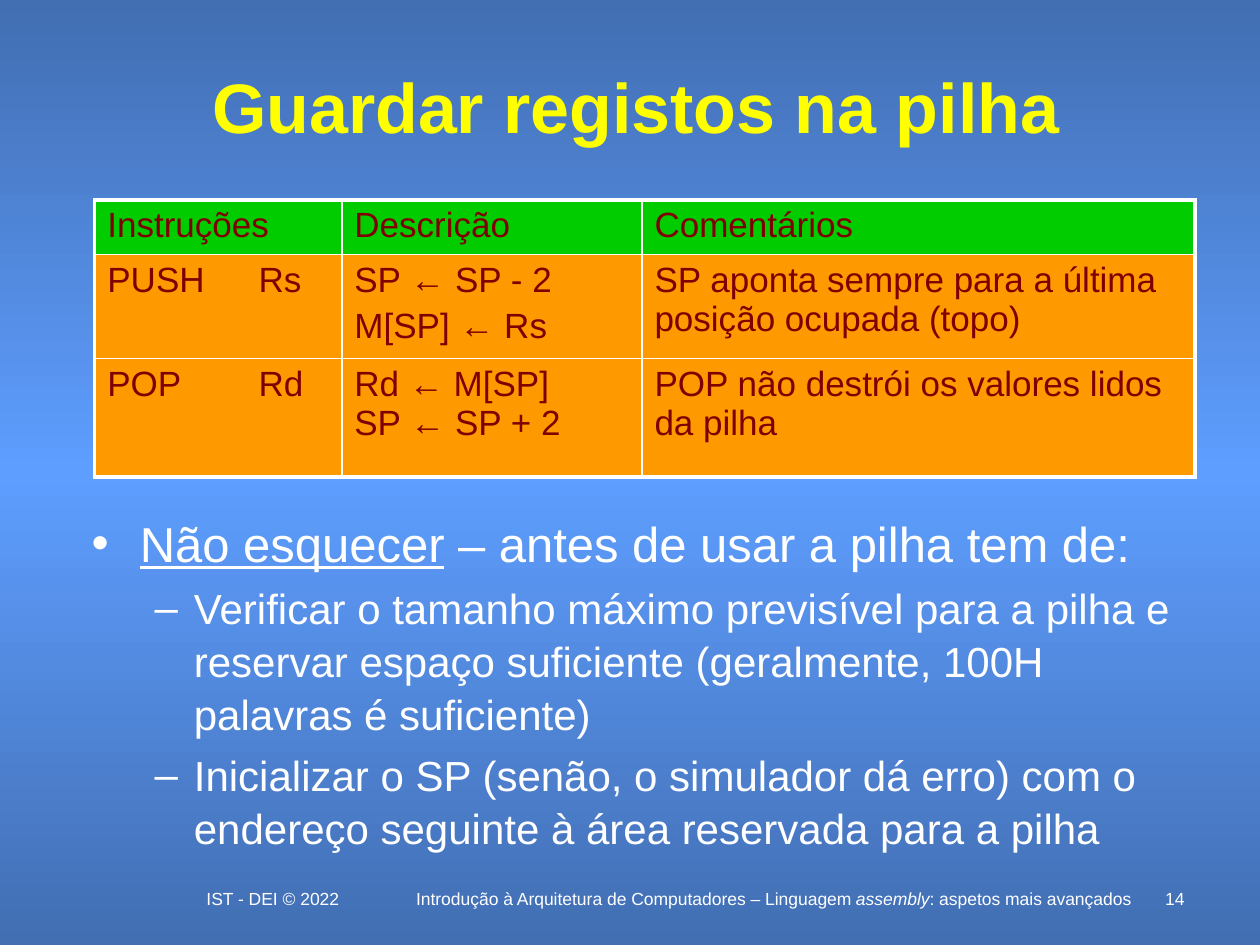
import lxml.etree
import pptx
import pptx.dml.color
import pptx.enum.text
import pptx.oxml
import pptx.oxml.ns
import pptx.util
from pptx.util import Cm, Pt

ALIGN = pptx.enum.text.PP_ALIGN
WHITE, YELLOW, MAROON = "FFFFFF", "FFFF00", "800000"
GREEN, ORANGE = "00CC00", "FF9900"
NS = 'xmlns:a="http://schemas.openxmlformats.org/drawingml/2006/main"'


def color(hex_string):
    return pptx.dml.color.RGBColor.from_string(hex_string)


def format_runs(paragraph, size, hex_string):
    for run in paragraph.runs:
        run.font.name = "Arial"
        run.font.size = Pt(size)
        run.font.color.rgb = color(hex_string)


deck = pptx.Presentation()
deck.slide_width, deck.slide_height = Cm(25.4), Cm(19.05)
slide = deck.slides.add_slide(deck.slide_layouts[6])

# Background: vertical gradient, lightest in the middle
background = slide.background.fill
background.gradient()
background.gradient_angle = 270
stops = slide.background._cSld.find(".//" + pptx.oxml.ns.qn("a:gsLst"))
for stop in list(stops):
    stops.remove(stop)
for percent, shade in ((0, "426EB2"), (50, "5E9EFF"), (100, "426EB2")):
    stops.append(pptx.oxml.parse_xml(
        f'<a:gs {NS} pos="{percent * 1000}"><a:srgbClr val="{shade}"/></a:gs>'))

# Title and footer: left, top, width, height, size, colour, alignment, runs
lines = [
    (1.32, 1.27, 22.99, 1.7, 40, YELLOW, ALIGN.CENTER, ["Guardar registos na pilha"]),
    (3.38, 17.78, 4.24, 0.64, 10, WHITE, ALIGN.CENTER, ["IST - DEI © 2022"]),
    (8.05, 17.78, 15.09, 0.64, 10, WHITE, ALIGN.CENTER,
     ["Introdução à Arquitetura de Computadores – Linguagem ", "assembly",
      ": aspetos mais avançados"]),
    (23.06, 17.78, 1.07, 0.43, 10, WHITE, ALIGN.RIGHT, ["14"]),
]
for left, top, width, height, size, shade, alignment, texts in lines:
    frame = slide.shapes.add_textbox(Cm(left), Cm(top), Cm(width), Cm(height)).text_frame
    frame.word_wrap = True
    paragraph = frame.paragraphs[0]
    paragraph.alignment = alignment
    for text in texts:
        run = paragraph.add_run()
        run.text = text
        run.font.italic = text == "assembly"
    format_runs(paragraph, size, shade)
    if size == 40:
        frame.vertical_anchor = pptx.enum.text.MSO_ANCHOR.MIDDLE
        paragraph.font.bold = True
        paragraph.runs[0].font.bold = True

# Instruction table
rows = [
    ["Instruções", "", "Descrição", "Comentários"],
    ["PUSH", "Rs", "SP ← SP - 2\nM[SP] ← Rs",
     "SP aponta sempre para a última posição ocupada (topo)"],
    ["POP", "Rd", "Rd ← M[SP]\nSP ← SP + 2",
     "POP não destrói os valores lidos da pilha"],
]
widths, heights = [3.05, 1.93, 6.05, 11.15], [1.09, 1.98, 2.39]
instructions = slide.shapes.add_table(
    3, 4, Cm(1.91), Cm(4.03), Cm(sum(widths)), Cm(sum(heights))).table
instructions.first_row = instructions.horz_banding = False
for column, width in zip(instructions.columns, widths):
    column.width = Cm(width)
for row, height in zip(instructions.rows, heights):
    row.height = Cm(height)

for r, texts in enumerate(rows):
    for c, text in enumerate(texts):
        cell = instructions.cell(r, c)
        cell.text_frame.text = text
        for paragraph in cell.text_frame.paragraphs:
            format_runs(paragraph, 20, MAROON)
        if r == 1 and c == 2:
            paragraph.space_before = Pt(4)

        # Thick outer edges, thin inner ones, none between mnemonic and operand
        outer = {"L": c == 0, "R": c == 3, "T": r == 0, "B": r == 2}
        properties = cell._tc.get_or_add_tcPr()
        for side, is_outer in outer.items():
            hidden = (c, side) in ((0, "R"), (1, "L")) and r > 0
            paint = ("<a:noFill/>" if hidden else
                     f'<a:solidFill><a:srgbClr val="{WHITE}"/></a:solidFill>')
            weight = Pt(2.25 if is_outer else 1)
            properties.append(pptx.oxml.parse_xml(
                f'<a:ln{side} {NS} w="{weight}">{paint}</a:ln{side}>'))
        cell.fill.solid()
        cell.fill.fore_color.rgb = color(GREEN if r == 0 else ORANGE)
instructions.cell(0, 0).merge(instructions.cell(0, 1))

# Reminders: level, size, indent, hanging, bullet, runs
reminders = [
    (0, 28, 0.97, 0.97, "•", ["Não esquecer", " – antes de usar a pilha tem de:"]),
    (1, 24, 2.06, 0.79, "–",
     ["Verificar o tamanho máximo previsível para a pilha e reservar espaço "
      "suficiente (geralmente, 100H palavras é suficiente)"]),
    (1, 24, 2.06, 0.79, "–",
     ["Inicializar o SP (senão, o simulador dá erro) com o endereço seguinte "
      "à área reservada para a pilha"]),
]
frame = slide.shapes.add_textbox(Cm(1.6), Cm(10.16), Cm(22.5), Cm(7.06)).text_frame
frame.word_wrap = True
for i, (level, size, indent, hanging, bullet, texts) in enumerate(reminders):
    paragraph = frame.add_paragraph() if i else frame.paragraphs[0]
    paragraph.level = level
    paragraph.line_spacing = 1.05
    if i:
        paragraph.space_before = Pt(size * 0.2)
    properties = paragraph._p.get_or_add_pPr()
    properties.set("marL", str(Cm(indent)))
    properties.set("indent", str(-Cm(hanging)))
    for bullet_part in (f'<a:buClr {NS}><a:srgbClr val="{WHITE}"/></a:buClr>',
                        f'<a:buFont {NS} typeface="Arial"/>',
                        f'<a:buChar {NS} char="{bullet}"/>'):
        properties.append(pptx.oxml.parse_xml(bullet_part))
    for text in texts:
        run = paragraph.add_run()
        run.text = text
        run.font.underline = text == "Não esquecer"
    format_runs(paragraph, size, WHITE)

deck.save("out.pptx")
